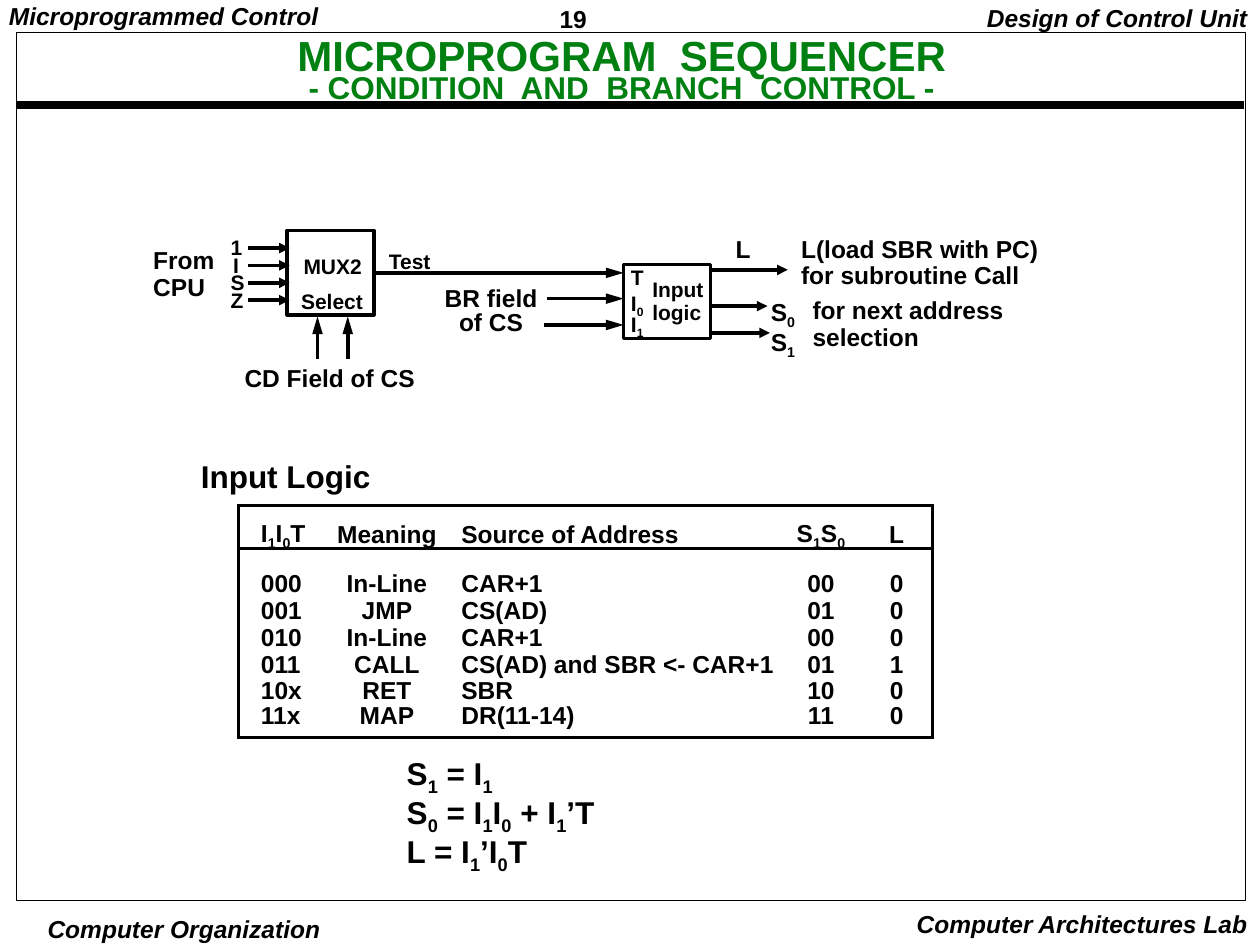
from dataclasses import dataclass

import pptx
import pptx.dml.color
import pptx.enum.shapes
import pptx.enum.text
import pptx.oxml
import pptx.oxml.ns
import pptx.util
from pptx.util import Cm, Pt

ALIGN = pptx.enum.text.PP_ALIGN
ANCHOR = pptx.enum.text.MSO_ANCHOR
NS = pptx.oxml.ns.nsdecls("a")
NO_STYLE = "{2D5ABB26-0587-4C30-8999-92F81FD0307C}"


@dataclass(frozen=True)
class Theme:
    font: str = "Arial"
    ink: str = "000000"
    accent: str = "008011"
    title: int = 24
    heading: int = 18
    body: int = 14
    small: int = 12
    line: float = 2
    rule: float = 4.5
    hairline: float = 0.5


THEME = Theme()
NARROW = (0.18, 0.08)


@dataclass(frozen=True)
class Label:
    text: str
    x: float
    y: float
    w: float
    h: float
    size: int = THEME.body
    align: ALIGN = ALIGN.LEFT
    spacing: float = 0.9
    italic: bool = False
    wrap: bool = False
    insets: tuple[float, float] = (0.25, 0.13)


@dataclass(frozen=True)
class Line:
    x1: float
    y1: float
    x2: float
    y2: float
    head: str = "med"


@dataclass(frozen=True)
class Column:
    width: float
    align: ALIGN
    margin: float = 0


LABELS = [
    Label("19", 11.1, 0, 2.74, 0.74, spacing=1.0, insets=NARROW),
    Label("Microprogrammed Control", 0, 0, 7.6, 0.69, italic=True, insets=NARROW),
    Label("Design of Control Unit", 19.36, 0, 6.04, 0.79, align=ALIGN.RIGHT, italic=True),
    Label("Computer Organization", 0.4, 18.39, 6.62, 0.66, align=ALIGN.CENTER,
          spacing=1.0, italic=True, insets=(0.08, 0.03)),
    Label("Computer Architectures Lab", 17.8, 18.2, 7.6, 0.84, align=ALIGN.RIGHT,
          spacing=1.0, italic=True),
    Label("MUX2", 5.87, 5.03, 1.9, 0.71, THEME.small),
    Label("Select", 5.82, 5.74, 1.9, 0.71, THEME.small),
    Label("Test", 7.59, 4.93, 1.6, 0.71, THEME.small),
    Label("T", 12.47, 5.26, 0.8, 0.71, THEME.small),
    Label("I_0", 12.47, 5.74, 0.8, 0.76, THEME.small),
    Label("I_1", 12.47, 6.15, 0.8, 0.76, THEME.small),
    Label("Input\nlogic", 12.9, 5.51, 2.0, 1.13, THEME.small),
    Label("From\nCPU", 2.84, 4.88, 1.9, 1.32),
    Label("CD Field of CS", 4.4, 7.26, 4.5, 0.79, align=ALIGN.CENTER),
    Label("BR field\nof CS", 8.5, 5.69, 2.8, 1.19, align=ALIGN.CENTER, spacing=0.8),
    Label("L", 14.58, 4.65, 0.9, 0.79),
    Label("L(load SBR with PC) for subroutine Call", 15.9, 4.65, 5.64, 1.32, wrap=True),
    Label("S_0\nS_1", 15.29, 5.87, 1.1, 1.47),
    Label("for next address\nselection", 16.13, 5.89, 4.8, 1.32),
    Label("Input Logic", 3.8, 9.17, 4.4, 0.94, THEME.heading),
    Label("S_1 = I_1\nS_0 = I_1I_0 + I_1’T\nL = I_1’I_0T", 7.95, 15.09, 4.8, 2.59, THEME.heading),
]
LABELS += [Label(name, 4.4, 4.65 + 0.36 * i, 0.72, 0.71, THEME.small, ALIGN.CENTER)
           for i, name in enumerate("1ISZ")]

ARROWS = [Line(5.0, 5.0 + 0.35 * i, 5.84, 5.0 + 0.35 * i) for i in range(4)]
ARROWS += [Line(x, 7.24, x, 6.38, "lg") for x in (6.4, 7.01)]
ARROWS += [
    Line(11.02, 6.02, 12.57, 6.02, "lg"),
    Line(10.97, 6.55, 12.57, 6.55, "lg"),
    Line(14.32, 5.44, 15.88, 5.44),
    Line(14.32, 6.17, 15.47, 6.17),
    Line(14.32, 6.71, 15.52, 6.71),
]

COLUMNS = [
    Column(1.8, ALIGN.LEFT, 0.46),
    Column(2.4, ALIGN.CENTER),
    Column(6.75, ALIGN.LEFT, 0.3),
    Column(1.6, ALIGN.CENTER),
    Column(1.45, ALIGN.CENTER),
]
ROWS = [
    ("I_1I_0T", "Meaning", "Source of Address", "S_1S_0", "L"),
    ("000", "In-Line", "CAR+1", "00", "0"),
    ("001", "JMP", "CS(AD)", "01", "0"),
    ("010", "In-Line", "CAR+1", "00", "0"),
    ("011", "CALL", "CS(AD) and SBR <- CAR+1", "01", "1"),
    ("10x", "RET", "SBR", "10", "0"),
    ("11x", "MAP", "DR(11-14)", "11", "0"),
]
ROW_HEIGHTS = [0.86, 1.0] + [0.54] * 4 + [0.65]
ROW_ANCHORS = [ANCHOR.BOTTOM] * 6 + [ANCHOR.TOP]


def rgb(value: str) -> pptx.dml.color.RGBColor:
    return pptx.dml.color.RGBColor.from_string(value)


def style(p, size: int, align: ALIGN, spacing: float, color: str = THEME.ink) -> None:
    p.alignment = align
    p.line_spacing = spacing
    p.font.name, p.font.size, p.font.bold = THEME.font, Pt(size), True
    p.font.color.rgb = rgb(color)


def write(p, text: str) -> None:
    first, *rest = text.split("_")
    p.add_run().text = first
    for part in rest:
        r = p.add_run()
        r.text = part[0]
        r.font._element.set("baseline", "-25000")
        if part[1:]:
            p.add_run().text = part[1:]


def add_label(s, label: Label) -> None:
    tf = s.shapes.add_textbox(Cm(label.x), Cm(label.y), Cm(label.w), Cm(label.h)).text_frame
    tf.word_wrap = label.wrap
    tf.margin_left = tf.margin_right = Cm(label.insets[0])
    tf.margin_top = tf.margin_bottom = Cm(label.insets[1])
    for i, text in enumerate(label.text.split("\n")):
        p = tf.add_paragraph() if i else tf.paragraphs[0]
        style(p, label.size, label.align, label.spacing)
        p.font.italic = label.italic
        write(p, text)


def add_box(s, x: float, y: float, w: float, h: float, width: float = THEME.line):
    sp = s.shapes.add_shape(pptx.enum.shapes.MSO_SHAPE.RECTANGLE, Cm(x), Cm(y), Cm(w), Cm(h))
    sp.shadow.inherit = False
    sp.fill.background()
    sp.line.color.rgb, sp.line.width = rgb(THEME.ink), Pt(width)
    return sp


def add_line(s, line: Line, width: float = THEME.line):
    c = s.shapes.add_connector(pptx.enum.shapes.MSO_CONNECTOR.STRAIGHT,
                               Cm(line.x1), Cm(line.y1), Cm(line.x2), Cm(line.y2))
    c.line.color.rgb, c.line.width = rgb(THEME.ink), Pt(width)
    if line.head:
        c.line._get_or_add_ln().append(pptx.oxml.parse_xml(
            f'<a:tailEnd {NS} type="triangle" w="med" len="{line.head}"/>'))
    c._element.spPr.append(pptx.oxml.parse_xml(f"<a:effectLst {NS}/>"))
    return c


def add_borders(cell, sides: dict[str, bool]) -> None:
    tc_pr = cell._tc.get_or_add_tcPr()
    for i, (side, shown) in enumerate(sides.items()):
        fill = f'<a:solidFill><a:srgbClr val="{THEME.ink}"/></a:solidFill>' if shown else "<a:noFill/>"
        tc_pr.insert(i, pptx.oxml.parse_xml(
            f'<a:ln{side} {NS} w="{Pt(THEME.line)}">{fill}</a:ln{side}>'))


def add_logic_table(s, x: float, y: float) -> None:
    frame = s.shapes.add_table(len(ROWS), len(COLUMNS), Cm(x), Cm(y),
                               Cm(sum(c.width for c in COLUMNS)), Cm(sum(ROW_HEIGHTS)))
    table = frame.table
    table.first_row = table.horz_banding = False
    table._tbl.tblPr.find(pptx.oxml.ns.qn("a:tableStyleId")).text = NO_STYLE
    for j, column in enumerate(COLUMNS):
        table.columns[j].width = Cm(column.width)
    for i, row in enumerate(ROWS):
        table.rows[i].height = Cm(ROW_HEIGHTS[i])
        for j, (text, column) in enumerate(zip(row, COLUMNS)):
            cell = table.cell(i, j)
            cell.margin_left = Cm(column.margin)
            cell.margin_right = cell.margin_top = cell.margin_bottom = 0
            cell.vertical_anchor = ROW_ANCHORS[i]
            cell.fill.background()
            p = cell.text_frame.paragraphs[0]
            style(p, THEME.body, column.align, 0.9)
            write(p, text)
            add_borders(cell, {"L": j == 0, "R": j == len(COLUMNS) - 1,
                               "T": i < 2, "B": i in (0, len(ROWS) - 1)})


def set_title(s) -> None:
    title = s.shapes.title
    title.left, title.top, title.width, title.height = Cm(2.26), Cm(0.79), Cm(20.55), Cm(1.4)
    tf = title.text_frame
    tf.vertical_anchor = ANCHOR.MIDDLE
    tf.margin_left = tf.margin_right = Cm(NARROW[0])
    tf.margin_top = tf.margin_bottom = Cm(NARROW[1])
    p = tf.paragraphs[0]
    style(p, THEME.title, ALIGN.CENTER, 0.7, THEME.accent)
    write(p, "MICROPROGRAM  SEQUENCER")
    p.add_line_break()
    r = p.add_run()
    r.text = "- CONDITION  AND  BRANCH  CONTROL -"
    r.font.size = Pt(THEME.heading)


def main() -> None:
    prs = pptx.Presentation()
    prs.slide_width, prs.slide_height = Cm(25.4), Cm(19.05)
    s = prs.slides.add_slide(prs.slide_layouts[5])
    set_title(s)
    add_line(s, Line(0.33, 2.11, 25.07, 2.11, ""), THEME.rule)
    add_box(s, 0.33, 0.66, 24.77, 17.5, THEME.hairline)
    mux = add_box(s, 5.79, 4.65, 1.75, 1.7)
    add_box(s, 12.57, 5.33, 1.75, 1.5)
    add_line(s, Line(7.54, 5.5, 12.57, 5.5, "lg")).begin_connect(mux, 3)
    for arrow in ARROWS:
        add_line(s, arrow)
    for label in LABELS:
        add_label(s, label)
    add_logic_table(s, 4.8, 10.19)
    prs.save("out.pptx")


if __name__ == "__main__":
    main()
